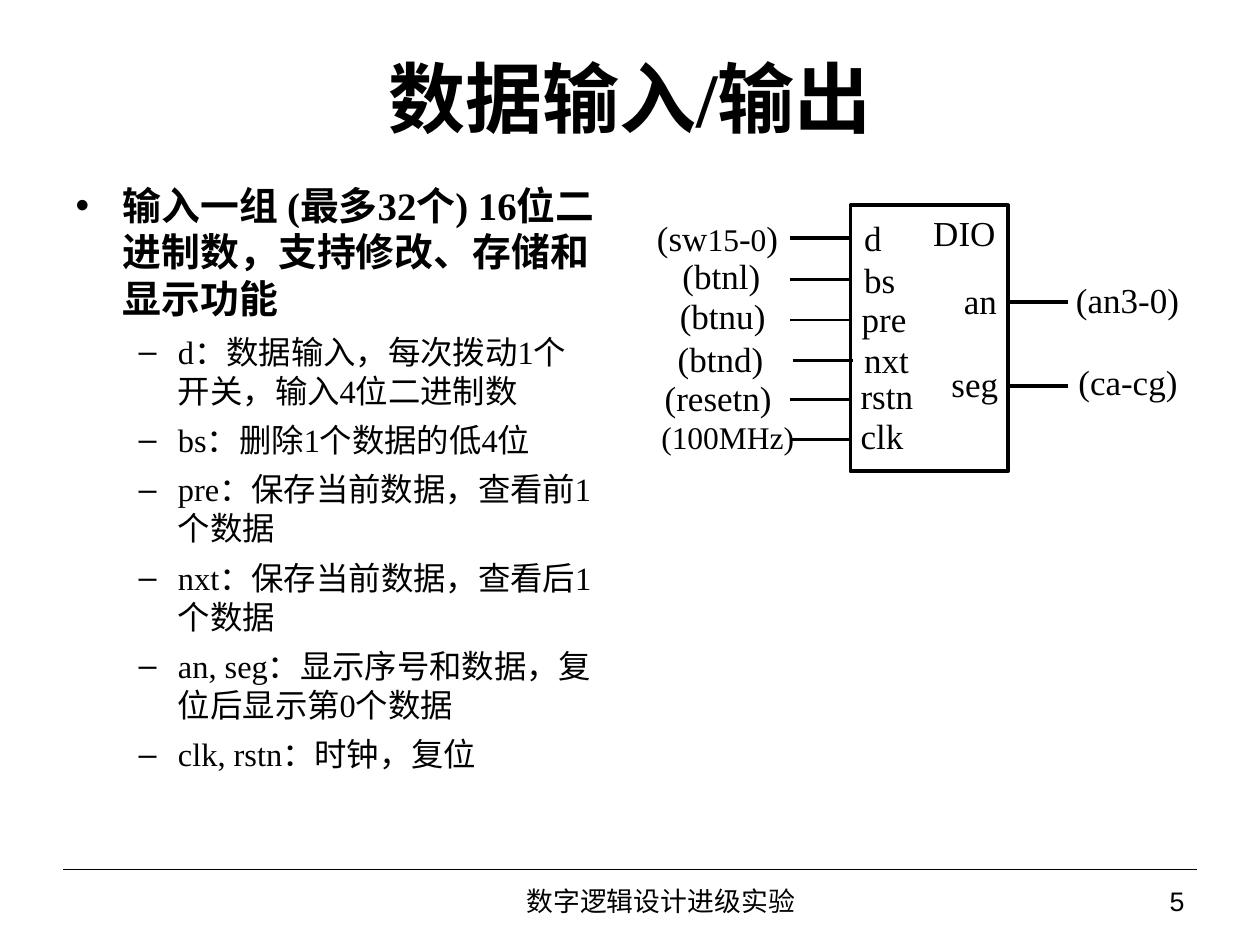
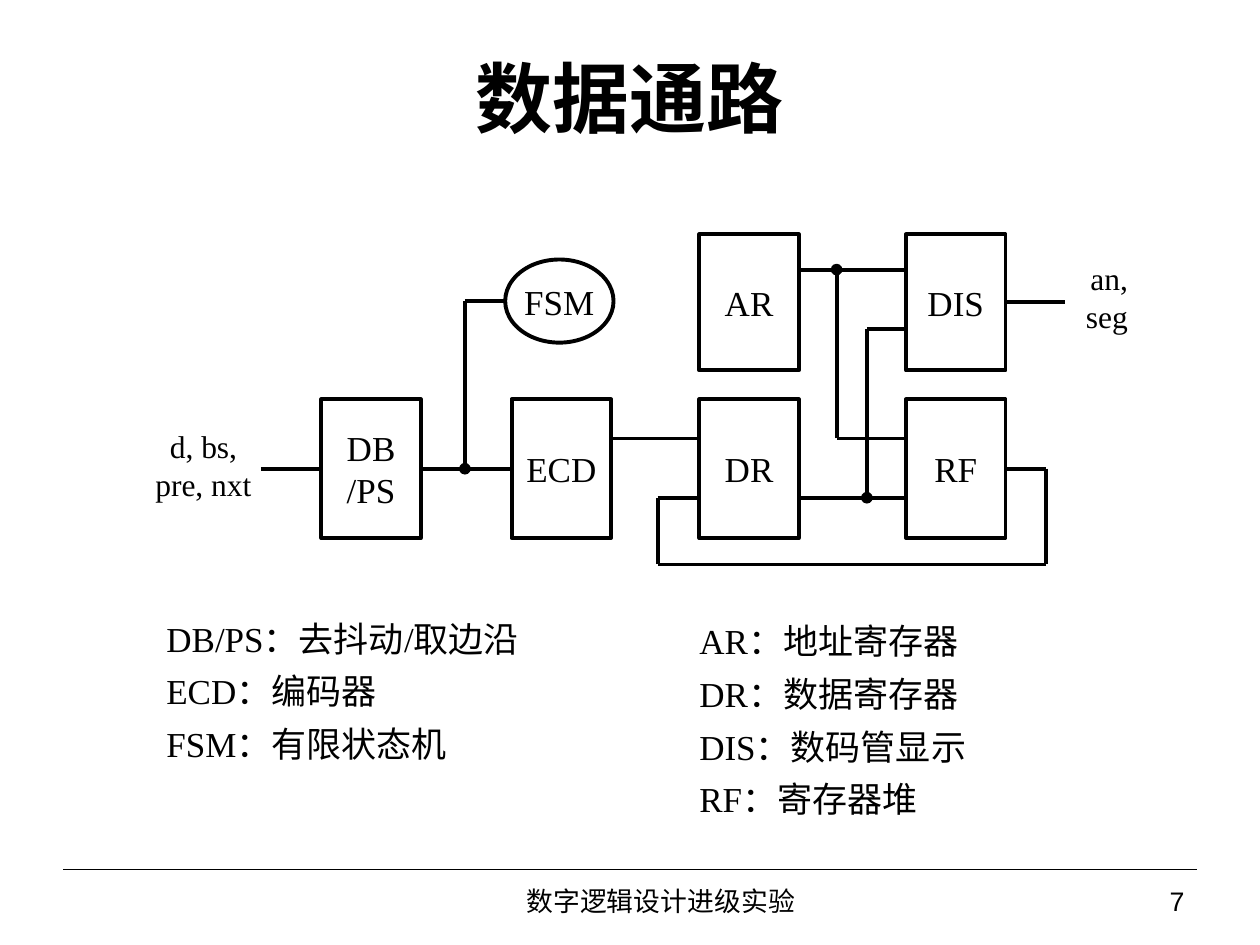
from lxml import etree
from pptx import Presentation
from pptx import util as u
from pptx.dml.color import RGBColor
from pptx.enum import shapes as sh, text as tx
from pptx.oxml.ns import qn

HUE = {"ink": "000000", "back": "FFFFFF"}
INK = RGBColor.from_string(HUE["ink"])
SERIF, SANS = "Times New Roman", "Arial"
L, C, R = tx.PP_ALIGN.LEFT, tx.PP_ALIGN.CENTER, tx.PP_ALIGN.RIGHT
TOP, MID = tx.MSO_ANCHOR.TOP, tx.MSO_ANCHOR.MIDDLE
FIT, FIXED = tx.MSO_AUTO_SIZE.SHAPE_TO_FIT_TEXT, tx.MSO_AUTO_SIZE.NONE


def put(shp, lines, size, al=L, anc=TOP, font=SERIF, bold=False,
        wrap=True, auto=FIXED, gap=0, lead=None):
    """Write lines into a shape; a line is a string or (text, size) runs."""
    tf = shp.text_frame
    tf.word_wrap, tf.auto_size, tf.vertical_anchor = wrap, auto, anc
    for i, line in enumerate(lines):
        p = tf.paragraphs[0] if i == 0 else tf.add_paragraph()
        p.alignment, p.line_spacing = al, lead
        p.space_before, p.space_after = u.Pt(0), u.Pt(gap)
        for part, pt in [(line, size)] if isinstance(line, str) else line:
            r = p.add_run()
            r.text = part
            r.font.name, r.font.size, r.font.bold = font, u.Pt(pt), bold
            r.font.color.rgb = INK
    return tf


def wire(on, x1, y1, x2, y2, pt=2.25, dot=False):
    """Draw a straight line, with a dot at its end if asked."""
    c = on.add_connector(sh.MSO_CONNECTOR.STRAIGHT,
                         *map(u.Inches, (x1, y1, x2, y2)))
    c.line.color.rgb, c.line.width = INK, u.Pt(pt)
    sp = c.element.spPr
    if dot:
        etree.SubElement(sp.find(qn("a:ln")), qn("a:tailEnd"), type="oval")
    etree.SubElement(sp, qn("a:effectLst"))
    return c


prs = Presentation()
prs.slide_width, prs.slide_height = u.Inches(10), u.Inches(7.5)

# Shared frame: title, rule, footer and number
pages = []
for name, num, lay in [("数据输入/输出", "5", 1), ("数据通路", "7", 3)]:
    pg = prs.slides.add_slide(prs.slide_layouts[lay])
    pg.background.fill.solid()
    pg.background.fill.fore_color.rgb = RGBColor.from_string(HUE["back"])
    head = pg.shapes.title
    head.left, head.top, head.width, head.height = map(u.Inches, (0.5, 0.3, 9, 0.93))
    put(head, [name], 44, C, MID, bold=True)
    wire(pg.shapes, 0.5, 6.9, 9.5, 6.9, 0.75)
    for x, w, word, al in [(2.83, 4.83, "数字逻辑设计进级实验", C), (7.75, 1.75, num, R)]:
        foot = pg.shapes.add_textbox(*map(u.Inches, (x, 6.98, w, 0.37)))
        put(foot, [word], 15.3, al, MID, SANS, lead=0.9)
    pages.append(pg)
io_pg, path_pg = pages

# Input / output: list
body = io_pg.placeholders[1]
body.left, body.top, body.width, body.height = map(u.Inches, (0.5, 1.39, 4.32, 5.51))
lead_in = "输入一组 (最多32个) 16位二进制数，支持修改、存储和显示功能"
ports = [
    "d：数据输入，每次拨动1个开关，输入4位二进制数",
    "bs：删除1个数据的低4位",
    "pre：保存当前数据，查看前1个数据",
    "nxt：保存当前数据，查看后1个数据",
    "an, seg：显示序号和数据，复位后显示第0个数据",
    "clk, rstn：时钟，复位",
]
tf = put(body, [lead_in] + ports, 18.5, gap=6)
top = tf.paragraphs[0].runs[0].font
top.size, top.bold = u.Pt(22.2), True
for p in tf.paragraphs[1:]:
    p.level = 1

# Input / output: chip
chip = io_pg.shapes.add_group_shape().shapes
case = chip.add_shape(sh.MSO_SHAPE.RECTANGLE, *map(u.Inches, (6.75, 1.63, 1.25, 2.11)))
case.shadow.inherit = False
case.fill.background()
case.line.color.rgb, case.line.width = INK, u.Pt(2.25)
put(case, ["DIO"], 20, R, wrap=False)

# Pin names inside the chip, wide enough for one line each
wide = 0.65
for word, x, y, al in [
    ("d", 6.76, 1.6, L), ("bs", 6.76, 1.93, L),
    ("pre", 6.74, 2.24, L), ("nxt", 6.76, 2.57, L),
    ("an", 8.01 - wide, 2.1, R), ("seg", 8.02 - wide, 2.76, R),
]:
    pin = chip.add_textbox(*map(u.Inches, (x, y, wide, 0.51)))
    put(pin, [word], 20, al, lead=u.Pt(29))
for word, y in [("rstn", 2.97), ("clk", 3.29)]:
    pin = chip.add_textbox(*map(u.Inches, (6.83, y, 0.5, 0.33)))
    tf = put(pin, [word], 20, anc=MID)
    tf.margin_left = tf.margin_right = tf.margin_top = tf.margin_bottom = 0

# Pin leads
for x, y, pt in [(6.27, 1.89, 2.25), (6.27, 2.22, 1.5), (6.27, 2.54, 1.5),
                 (6.29, 2.86, 1.5), (6.27, 3.17, 1.5), (6.27, 3.49, 1.5),
                 (8, 2.4, 2.25), (8, 3.06, 2.25)]:
    wire(chip, x, y, x + 0.48, y, pt)

# Signal names outside the chip
bus = [("(sw", 20), ("15", 18), ("-", 20), ("0", 18), (")", 20)]
for word, x, y, w, pt, al in [
    (bus, 5.06, 1.67, 1.27, 20, C), ("(btnl)", 5.28, 1.97, 0.89, 20, C),
    ("(btnu)", 5.29, 2.29, 0.89, 20, C), ("(btnd)", 5.28, 2.63, 0.91, 20, L),
    ("(resetn)", 5.06, 2.94, 1.28, 20, C), ("(100MHz)", 5.15, 3.27, 1.28, 18, L),
    ("(an3-0)", 8.44, 2.16, 1.02, 20, L), ("(ca-cg)", 8.46, 2.81, 0.99, 20, L),
]:
    sig = chip.add_textbox(*map(u.Inches, (x, y, w, 0.44)))
    put(sig, [word], pt, al, auto=FIT)

# Data path: legends
for idx, box, lines in [
    (1, (1.22, 4.85, 3.56, 1.55), ["DB/PS：去抖动/取边沿", "ECD：编码器", "FSM：有限状态机"]),
    (2, (5.45, 4.87, 2.62, 1.79), ["AR：地址寄存器", "DR：数据寄存器",
                                   "DIS：数码管显示", "RF：寄存器堆"]),
]:
    key = path_pg.placeholders[idx]
    key.left, key.top, key.width, key.height = map(u.Inches, box)
    for p in put(key, lines, 20, gap=6).paragraphs:
        ppr = p._p.get_or_add_pPr()
        ppr.set("marL", "0")
        ppr.set("indent", "0")
        etree.SubElement(ppr, qn("a:buNone"))

# Data path: blocks
art = path_pg.shapes
rect, oval = sh.MSO_SHAPE.RECTANGLE, sh.MSO_SHAPE.OVAL
unit = {}
for name, kind, x, y, w, h in [
    ("DB\n/PS", rect, 2.55, 3.17, 0.79, 1.1), ("ECD", rect, 4.06, 3.17, 0.79, 1.1),
    ("DR", rect, 5.55, 3.17, 0.79, 1.1), ("RF", rect, 7.19, 3.17, 0.79, 1.1),
    ("AR", rect, 5.55, 1.86, 0.79, 1.08), ("DIS", rect, 7.19, 1.86, 0.79, 1.08),
    ("FSM", oval, 4.01, 2.06, 0.86, 0.66),
]:
    blk = art.add_shape(kind, *map(u.Inches, (x, y, w, h)))
    blk.shadow.inherit = False
    blk.fill.background()
    blk.line.color.rgb, blk.line.width = INK, u.Pt(2.25)
    put(blk, name.split("\n"), 20, C, MID, wrap=False)
    unit[name] = blk

# Data path: wires joined to block sides
wire(art, 2.07, 3.72, 2.55, 3.72).end_connect(unit["DB\n/PS"], 1)
link = wire(art, 3.34, 3.72, 4.06, 3.72)
link.begin_connect(unit["DB\n/PS"], 3)
link.end_connect(unit["ECD"], 1)
wire(art, 7.98, 3.72, 8.3, 3.72).begin_connect(unit["RF"], 3)
wire(art, 7.98, 2.4, 8.45, 2.4).begin_connect(unit["DIS"], 3)

# Data path: free wires, then those ending in a junction dot
for ends in [
    (4.85, 3.48, 5.55, 3.48), (6.34, 3.95, 7.19, 3.95), (6.34, 2.14, 7.19, 2.14),
    (6.64, 3.48, 7.19, 3.48), (8.3, 3.72, 8.3, 4.48), (5.22, 4.48, 8.3, 4.48),
    (5.22, 3.95, 5.22, 4.48), (5.22, 3.95, 5.55, 3.95), (6.88, 2.61, 7.2, 2.61),
    (3.69, 2.39, 4.01, 2.39),
]:
    wire(art, *ends)
for x, y1, y2 in [(6.64, 3.48, 2.14), (6.88, 2.61, 3.95), (3.69, 2.39, 3.72)]:
    wire(art, x, y1, x, y2, dot=True)

# Data path: inputs and outputs
for word, box, al in [("an, seg", (8.44, 2.01, 0.61, 0.74), R),
                      ("d, bs, pre, nxt", (1.11, 3.34, 1.01, 0.7), C)]:
    put(art.add_textbox(*map(u.Inches, box)), [word], 18, al)

prs.save("out.pptx")
